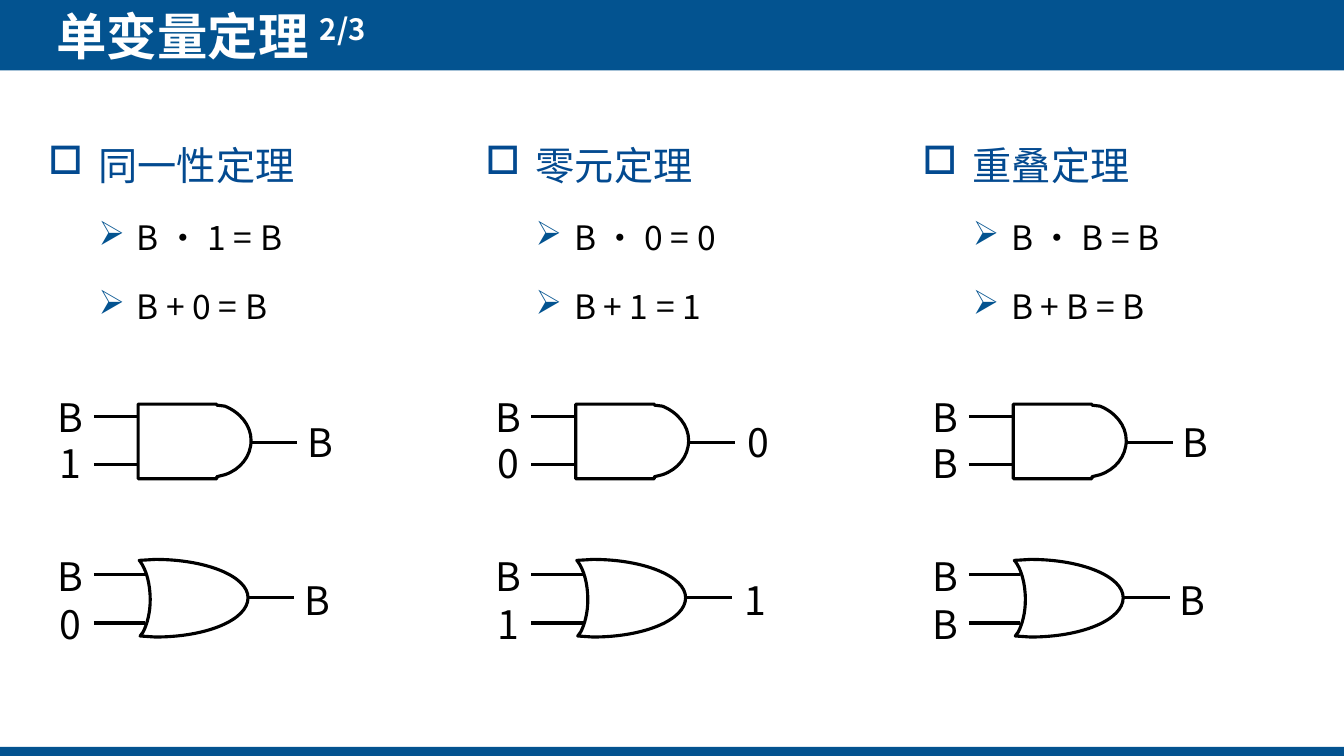
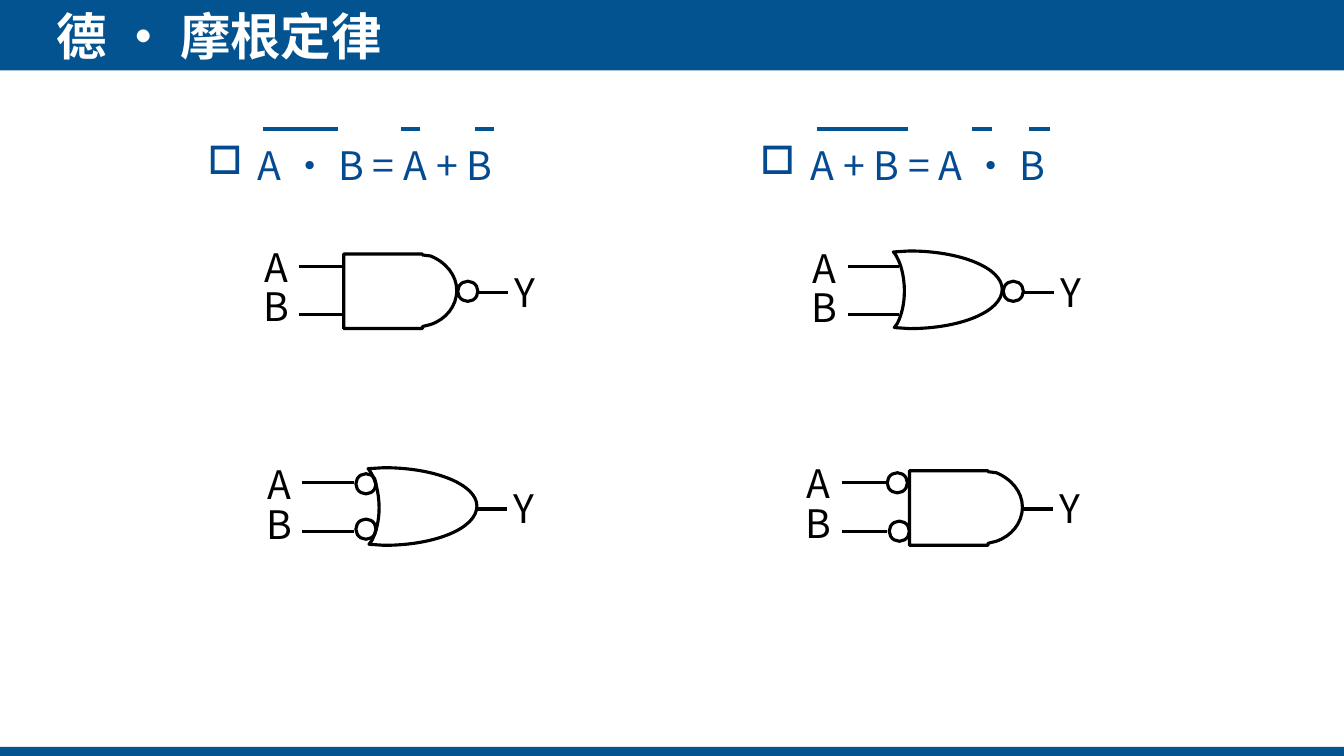
"""Two slides on Boolean theorems with logic gate diagrams."""
from dataclasses import dataclass

from lxml import etree
from pptx import Presentation
from pptx.dml.color import RGBColor
from pptx.enum import shapes, text
from pptx.oxml import ns
from pptx.util import Inches, Pt

BAND_BLUE = RGBColor(0x03, 0x53, 0x90)
TEXT_BLUE = RGBColor(0x03, 0x4A, 0x90)
BLACK = RGBColor(0, 0, 0)
WHITE = RGBColor(255, 255, 255)
FONT = "Noto Sans CJK SC"
WIDTH, HEIGHT = 13.33, 7.5
LINE = 2.25
LABEL_WIDTH, LABEL_HEIGHT = 0.46, 0.57
BUBBLE = 0.2
GATE_STEP = 4.34
TEXT_STEP = 8.67 / 2


@dataclass
class Gate:
    """Outline and pin places, in inches from the top left of a gate."""
    outline: list
    width: float
    pins: tuple
    pin_end: float
    pin_length: float
    pin_shift: float
    label_top: float
    label_gap: float
    out_label_top: float
    bubbles: tuple


AND = Gate(
    [(0, 0), (0.69, 0), (0.78, 0), (0.78, 0.01), (0.86, 0.02),
     (1.01, 0.08, 1.12, 0.21, 1.12, 0.36), (1.12, 0.52, 1.01, 0.65, 0.86, 0.7),
     (0.78, 0.72), (0.78, 0.74), (0.69, 0.74), (0, 0.74)],
    1.12, (0.12, 0.6), 0.01, 0.45, 0.23, -0.16, 0.46, 0.09, ((-0.22, 0.02), (-0.2, 0.5)))
OR = Gate(
    [(0.16, 0), (0.67, 0, 1.08, 0.17, 1.08, 0.38),
     (1.08, 0.6, 0.67, 0.77, 0.16, 0.77), (0.01, 0.76), (0.04, 0.72),
     (0.08, 0.64, 0.11, 0.53, 0.11, 0.4), (0.11, 0.24, 0.07, 0.1, 0.01, 0.02), (0, 0.01)],
    1.08, (0.15, 0.63), 0.06, 0.51, 0.2, -0.12, 0.48, 0.12, ((-0.12, 0.06), (-0.12, 0.51)))

THEOREMS = [
    ("同一性定理", ("B · 1 = B", "B + 0 = B"), ("B1B", "B0B")),
    ("零元定理", ("B · 0 = 0", "B + 1 = 1"), ("B00", "B11")),
    ("重叠定理", ("B · B = B", "B + B = B"), ("BBB", "BBB")),
]
LAWS = [
    (1.96, "A · B = A + B", [(2.61, 3.35), (3.98, 4.17), (4.71, 4.9)]),
    (7.44, "A + B = A · B", [(8.1, 9.01), (9.64, 9.84), (10.21, 10.41)]),
]
LAW_GATES = [
    (OR, 8.86, 2.49, "out"),
    (AND, 3.41, 2.52, "out"),
    (OR, 3.65, 4.64, "in"),
    (AND, 9.02, 4.67, "in"),
]


def add_span(para, words, size, color, bold=False):
    span = para.add_run()
    span.text = words
    font = span.font
    font.size, font.bold, font.name = Pt(size), bold, FONT
    font.color.rgb = color
    props = span._r.get_or_add_rPr()
    etree.SubElement(props, ns.qn("a:ea")).set("typeface", FONT)
    return props


def add_box(parent, left, top, width, height):
    box = parent.add_textbox(*map(Inches, (left, top, width, height)))
    box.text_frame.word_wrap = True
    box.text_frame.auto_size = text.MSO_AUTO_SIZE.SHAPE_TO_FIT_TEXT
    return box.text_frame


def add_line(parent, start, end, color=BLACK):
    line = parent.add_connector(shapes.MSO_CONNECTOR.STRAIGHT, *map(Inches, (*start, *end)))
    line.line.color.rgb = color
    line.line.width = Pt(LINE)
    etree.SubElement(line._element.spPr, ns.qn("a:effectLst"))


def style_outline(shape):
    shape.shadow.inherit = False
    shape.fill.background()
    shape.line.color.rgb = BLACK
    shape.line.width = Pt(LINE)


def add_bubble(parent, left, top):
    style_outline(parent.add_shape(
        shapes.MSO_SHAPE.OVAL, *map(Inches, (left, top, BUBBLE, BUBBLE))))


def add_label(parent, words, left, top):
    para = add_box(parent, left, top, LABEL_WIDTH, LABEL_HEIGHT).paragraphs[0]
    para.alignment = text.PP_ALIGN.CENTER
    add_span(para, words, 28, BLACK)


def add_outline(parent, outline, left, top):
    ends = [(Inches(left + part[-2]), Inches(top + part[-1])) for part in outline]
    builder = parent.build_freeform(*ends[0], scale=1.0)
    builder.add_line_segments(ends[1:], close=True)
    shape = builder.convert_to_shape()
    style_outline(shape)
    segments = list(shape._element.iter(ns.qn("a:lnTo")))
    for segment, part in zip(segments, outline[1:]):
        if len(part) == 6:
            segment.tag = ns.qn("a:cubicBezTo")
            for index in (0, 2):
                control = etree.Element(ns.qn("a:pt"))
                control.set("x", str(Inches(part[index])))
                control.set("y", str(Inches(part[index + 1])))
                segment.insert(index // 2, control)


def add_gate(group, gate, left, top, names, out_y=0.38, label_gap=None,
             out_length=0.46, out_overlap=0, bubbles=None):
    add_outline(group, gate.outline, left, top)
    pin_end = left + gate.pin_end - (gate.pin_shift if bubbles == "in" else 0)
    pin_start = pin_end - gate.pin_length
    gap = label_gap or gate.label_gap
    for row, pin in enumerate(gate.pins):
        add_line(group, (pin_start, top + pin), (pin_end, top + pin))
        add_label(group, names[row], pin_start - LABEL_WIDTH, top + gate.label_top + row * gap)

    out_start = left + gate.width
    if bubbles == "in":
        for x, y in gate.bubbles:
            add_bubble(group, left + x, top + y)
    elif bubbles == "out":
        add_bubble(group, out_start + 0.01, top + out_y - 0.11)
        out_start += BUBBLE + 0.01
    out_end = out_start + out_length
    add_line(group, (out_start, top + out_y), (out_end, top + out_y))
    add_label(group, names[2], out_end - out_overlap, top + gate.out_label_top)


def add_bullet(para, words, level=0):
    margin, hang, mark, size, color = (
        (0.5, 0.5, "o", 28, TEXT_BLUE), (0.88, 0.38, "Ø", 24, BLACK))[level]
    para.level = level
    props = para._p.get_or_add_pPr()
    props.set("marL", str(Inches(margin)))
    props.set("indent", str(-Inches(hang)))
    if level:
        fill = etree.SubElement(props, ns.qn("a:buClr"))
        etree.SubElement(fill, ns.qn("a:srgbClr")).set("val", str(BAND_BLUE))
    symbols = etree.SubElement(props, ns.qn("a:buFont"))
    symbols.set("typeface", "Wingdings")
    symbols.set("charset", "2")
    etree.SubElement(props, ns.qn("a:buChar")).set("char", mark)
    para.line_spacing, para.space_after = 1.5, Pt(6)
    add_span(para, words, size, color)


def add_bullets(page, left, height, heading, formulas=()):
    frame = add_box(page.shapes, left, 1.12, 3.91, height)
    add_bullet(frame.paragraphs[0], heading)
    for formula in formulas:
        add_bullet(frame.add_paragraph(), formula, 1)


def add_bands(page):
    tree = page.slide_layout.shapes._spTree
    for top, height in ((-0.03, 0.73), (7.41, 0.1)):
        band = page.shapes.add_shape(
            shapes.MSO_SHAPE.RECTANGLE, *map(Inches, (0, top, WIDTH, height)))
        band.shadow.inherit = False
        band.fill.solid()
        band.fill.fore_color.rgb = BAND_BLUE
        band.line.fill.background()
        tree.append(band._element)


def add_page(deck, title, part=None):
    page = deck.slides.add_slide(deck.slide_layouts[6])
    frame = add_box(page.shapes, 0.56, 0.05, 8.57, 0.61)
    frame.margin_left = frame.margin_right = frame.margin_top = frame.margin_bottom = 0
    frame.vertical_anchor = text.MSO_ANCHOR.MIDDLE
    add_span(frame.paragraphs[0], title, 36, WHITE, True)
    if part:
        add_span(frame.paragraphs[0], part, 36, WHITE, True).set("baseline", "30000")
    return page


def main():
    deck = Presentation()
    deck.slide_width, deck.slide_height = Inches(WIDTH), Inches(HEIGHT)

    page = add_page(deck, "单变量定理 ", "2/3")
    add_bands(page)
    for column, (heading, formulas, (and_names, or_names)) in enumerate(THEOREMS):
        add_bullets(page, 0.38 + column * TEXT_STEP, 2.12, heading, formulas)
        group = page.shapes.add_group_shape().shapes
        shift = column * GATE_STEP
        add_gate(group, AND, 1.37 + shift, 4.01, and_names)
        add_gate(group, OR, 1.38 + shift, 5.55, or_names)

    page = add_page(deck, "德 · 摩根定律")
    for left, formula, overlines in LAWS:
        add_bullets(page, left, 0.72, formula)
        for start, end in overlines:
            add_line(page.shapes, (start, 1.28), (end, 1.28), BAND_BLUE)
    for gate, left, top, bubbles in LAW_GATES:
        group = page.shapes.add_group_shape().shapes
        add_gate(group, gate, left, top, "ABY", 0.41 if gate is OR else 0.38,
                 0.39, 0.3, 0.06, bubbles)

    deck.save("out.pptx")


if __name__ == "__main__":
    main()
